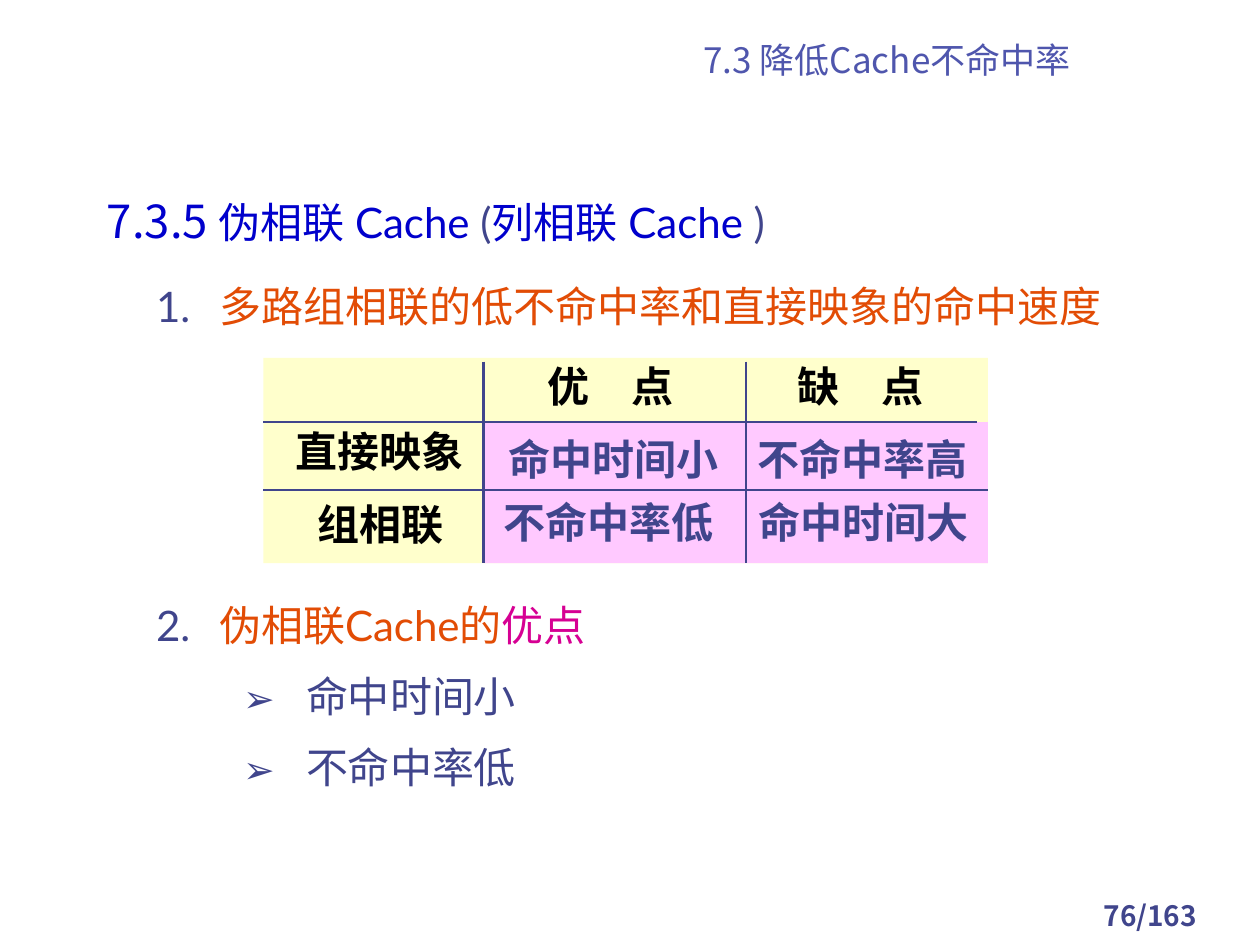
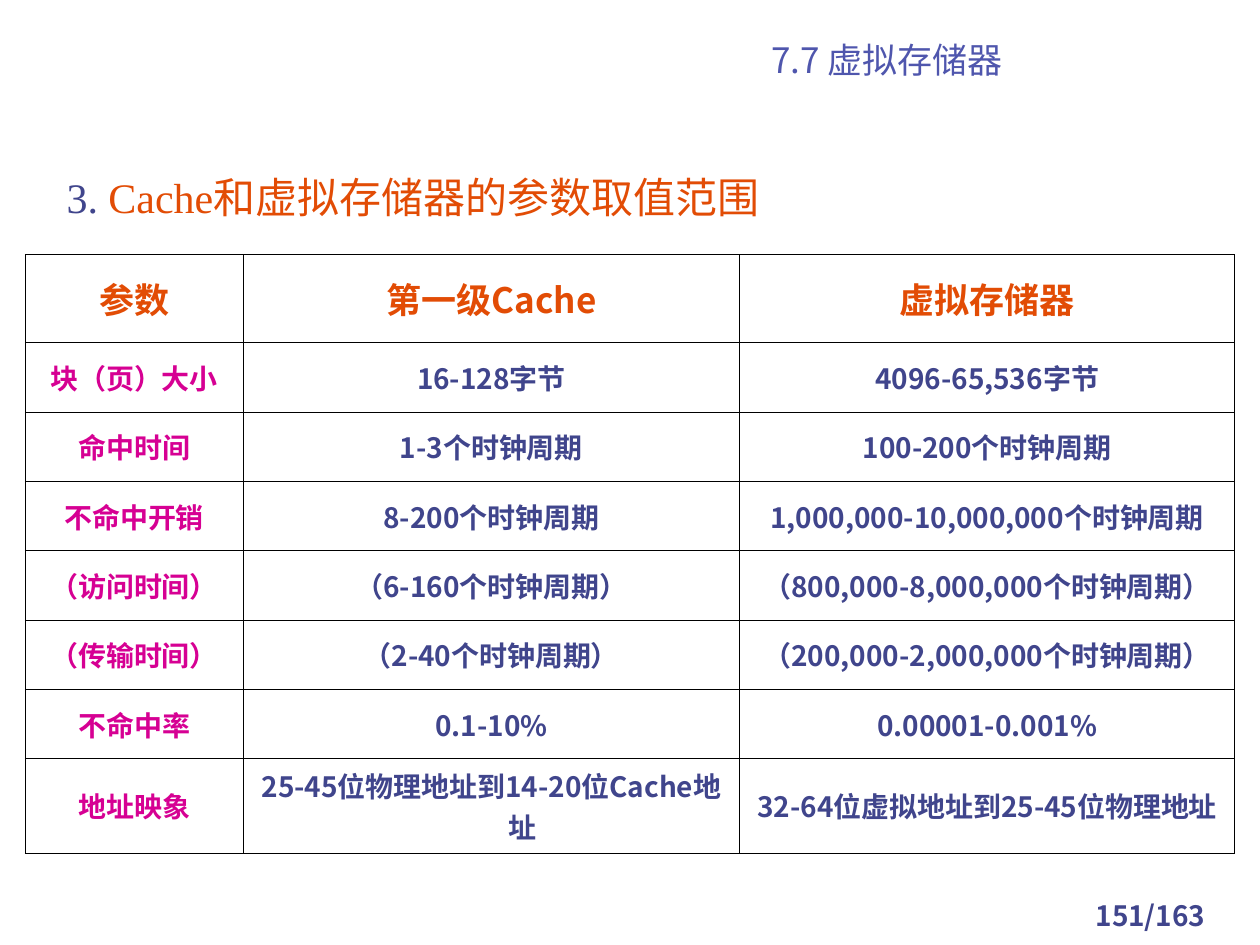
from dataclasses import dataclass

from lxml import etree
from pptx import Presentation
from pptx.dml.color import RGBColor
from pptx.enum.shapes import MSO_CONNECTOR, MSO_SHAPE
from pptx.enum.text import MSO_ANCHOR, PP_ALIGN
from pptx.oxml.ns import qn
from pptx.util import Emu, Pt

RECTANGLE = MSO_SHAPE.RECTANGLE
STRAIGHT = MSO_CONNECTOR.STRAIGHT
LEFT, CENTER = PP_ALIGN.LEFT, PP_ALIGN.CENTER
TOP, MIDDLE, BOTTOM = MSO_ANCHOR.TOP, MSO_ANCHOR.MIDDLE, MSO_ANCHOR.BOTTOM
EMU_PER_PX = 9144  # 100 px to the inch
PAGE_TOTAL = 163


@dataclass(frozen=True)
class Theme:
    text: str = "40458C"
    title: str = "4F56AD"
    heading: str = "0000CC"
    accent: str = "E24C05"
    pink: str = "D60093"
    black: str = "000000"
    label_fill: str = "FFFFCC"
    value_fill: str = "FFC9FF"
    sans: str = "Noto Sans CJK SC"
    latin: str = "Lato"
    serif: str = "Times New Roman"
    section_size: int = 26
    body_size: int = 24
    title_size: int = 20
    small_size: int = 16


THEME = Theme()


def px(length):
    return Emu(length * EMU_PER_PX)


def child(parent, tag, **attributes):
    element = etree.SubElement(parent, qn(tag))
    for name, value in attributes.items():
        element.set(name, str(value))
    return element


# ---- Text ----
def add_span(para, text, color, size=THEME.body_size, font=THEME.latin,
             bold=False, east_asian=THEME.latin):
    span = para.add_run()
    span.text = text
    span.font.size = Pt(size)
    span.font.bold = bold
    span.font.color.rgb = RGBColor.from_string(color)
    span.font.name = font
    child(span.font._element, "a:ea", typeface=east_asian)


def set_indent(para, left, hanging):
    properties = para._p.get_or_add_pPr()
    properties.set("marL", str(px(left)))
    properties.set("indent", str(-px(hanging)))
    return properties


def add_text_box(page, left, top, width, height, anchor=TOP, align=LEFT):
    """Add an empty text box and return its first paragraph and frame."""
    box = page.shapes.add_textbox(px(left), px(top), px(width), px(height))
    frame = box.text_frame
    frame.word_wrap = True
    frame.vertical_anchor = anchor
    para = frame.paragraphs[0]
    para.alignment = align
    return para, frame


def format_list_item(para, number=None):
    """Number the paragraph, or give it an arrow bullet one level down."""
    properties = set_indent(para, 50 if number else 119, 50)
    color = child(properties, "a:buClr")
    child(color, "a:srgbClr", val=THEME.text)
    if number:
        child(properties, "a:buFont", typeface=THEME.latin)
        child(properties, "a:buAutoNum", type="arabicPeriod", startAt=number)
    else:
        para.level = 1
        child(properties, "a:buSzPct", val=90000)
        child(properties, "a:buFont", typeface=THEME.sans)
        child(properties, "a:buChar", char="➢")
    para.line_spacing = 1.2


# ---- Shapes ----
def add_panel(page, left, top, width, height, color):
    panel = page.shapes.add_shape(RECTANGLE, px(left), px(top), px(width), px(height))
    panel.shadow.inherit = False
    panel.fill.solid()
    panel.fill.fore_color.rgb = RGBColor.from_string(color)
    panel.line.fill.background()


def add_rule(page, x1, y1, x2, y2, weight):
    rule = page.shapes.add_connector(STRAIGHT, px(x1), px(y1), px(x2), px(y2))
    rule.line.color.rgb = RGBColor.from_string(THEME.text)
    rule.line.width = Pt(weight)
    child(rule._element.spPr, "a:effectLst")


# ---- Table ----
def format_cell(cell, text, color, size):
    properties = cell._tc.get_or_add_tcPr()
    for side in ("a:lnL", "a:lnR", "a:lnT", "a:lnB"):
        border = child(properties, side, w=Pt(0.45))
        child(child(border, "a:solidFill"), "a:srgbClr", val=THEME.black)
    cell.fill.background()
    cell.vertical_anchor = MIDDLE
    para = cell.text_frame.paragraphs[0]
    para.alignment = CENTER
    set_indent(para, 49, 49)
    add_span(para, text, color, size, THEME.sans, True, THEME.sans)


def add_parameter_table(page, left, top, widths, heights, rows):
    frame = page.shapes.add_table(len(rows), len(widths), px(left), px(top),
                                  px(sum(widths)), px(sum(heights)))
    table = frame.table
    table.first_row = table.horz_banding = False
    for column, width in zip(table.columns, widths):
        column.width = px(width)
    for r, (height, texts) in enumerate(zip(heights, rows)):
        table.rows[r].height = px(height)
        for c, text in enumerate(texts):
            if r == 0:
                color, size = THEME.accent, THEME.title_size
            else:
                color = THEME.text if c else THEME.pink
                size = THEME.small_size
            format_cell(table.cell(r, c), text, color, size)


# ---- Pages ----
def add_page(deck, title, number):
    page = deck.slides.add_slide(deck.slide_layouts[6])
    para, _ = add_text_box(page, 842, 708, 142, 33, align=CENTER)
    add_span(para, f"{number}/{PAGE_TOTAL}", THEME.text, THEME.small_size,
             THEME.sans, True, THEME.sans)
    para, _ = add_text_box(page, 425, 27, 558, 42, BOTTOM, CENTER)
    add_span(para, title, THEME.title, THEME.title_size, THEME.sans,
             east_asian=THEME.sans)
    return page


def add_comparison(page):
    # Panels and grid lines
    add_panel(page, 209, 284, 575, 163, THEME.label_fill)
    add_panel(page, 384, 335, 400, 112, THEME.value_fill)
    add_rule(page, 209, 335, 775, 335, 1.5)
    add_rule(page, 384, 287, 384, 447, 1.5)
    add_rule(page, 592, 287, 592, 447, 0.75)
    add_rule(page, 209, 389, 784, 389, 0.75)
    # Labels and values
    entries = [
        ("优　点", 425, 281, 133, THEME.black),
        ("缺　点", 623, 281, 133, THEME.black),
        ("直接映象", 225, 333, 158, THEME.black),
        ("组相联", 242, 391, 133, THEME.black),
        ("命中时间小", 394, 339, 194, THEME.text),
        ("不命中率高", 591, 339, 201, THEME.text),
        ("不命中率低", 390, 389, 205, THEME.text),
        ("命中时间大", 592, 389, 192, THEME.text),
    ]
    for text, left, top, width, color in entries:
        para, _ = add_text_box(page, left, top, width, 50)
        add_span(para, text, color, font=THEME.serif, bold=True)


def add_pseudo_associative_page(deck):
    page = add_page(deck, "7.3 降低Cache不命中率", 76)
    # Section heading
    para, _ = add_text_box(page, 75, 148, 748, 54)
    add_span(para, "7.3.5 ", THEME.heading, THEME.section_size, THEME.sans)
    for text, color in [("伪相联 Cache", THEME.heading), (" (", THEME.text),
                        ("列相联 Cache", THEME.heading), (" )", THEME.text)]:
        add_span(para, text, color)
    # Numbered points around the comparison
    para, _ = add_text_box(page, 114, 210, 772, 68)
    format_list_item(para, 1)
    add_span(para, "多路组相联的低不命中率和直接映象的命中速度", THEME.accent,
             font=THEME.sans)
    add_comparison(page)
    para, frame = add_text_box(page, 114, 463, 772, 212)
    format_list_item(para, 2)
    add_span(para, "伪相联Cache的", THEME.accent)
    add_span(para, "优点", THEME.pink)
    for advantage in ("命中时间小", "不命中率低"):
        para = frame.add_paragraph()
        format_list_item(para)
        para.space_before = Pt(6)
        add_span(para, advantage, THEME.text)


def add_virtual_memory_page(deck):
    page = add_page(deck, "7.7 虚拟存储器", 151)
    rows = [
        ("参数", "第一级Cache", "虚拟存储器"),
        ("块（页）大小", "16-128字节", "4096-65,536字节"),
        ("命中时间", "1-3个时钟周期", "100-200个时钟周期"),
        ("不命中开销", "8-200个时钟周期", "1,000,000-10,000,000个时钟周期"),
        ("（访问时间）", "（6-160个时钟周期）", "（800,000-8,000,000个时钟周期）"),
        ("（传输时间）", "（2-40个时钟周期）", "（200,000-2,000,000个时钟周期）"),
        ("不命中率", "0.1-10%", "0.00001-0.001%"),
        ("地址映象", "25-45位物理地址到14-20位Cache地址",
         "32-64位虚拟地址到25-45位物理地址"),
    ]
    # The last row holds two lines of text
    heights = [70] + [55] * 6 + [75]
    add_parameter_table(page, 20, 202, [173, 394, 393], heights, rows)
    para, _ = add_text_box(page, 43, 131, 606, 50)
    add_span(para, "3.", THEME.text, font=THEME.serif)
    add_span(para, " Cache和虚拟存储器的参数取值范围", THEME.accent, font=THEME.serif)


def main():
    deck = Presentation()
    deck.slide_width, deck.slide_height = px(1000), px(750)
    add_pseudo_associative_page(deck)
    add_virtual_memory_page(deck)
    deck.save("out.pptx")


if __name__ == "__main__":
    main()
